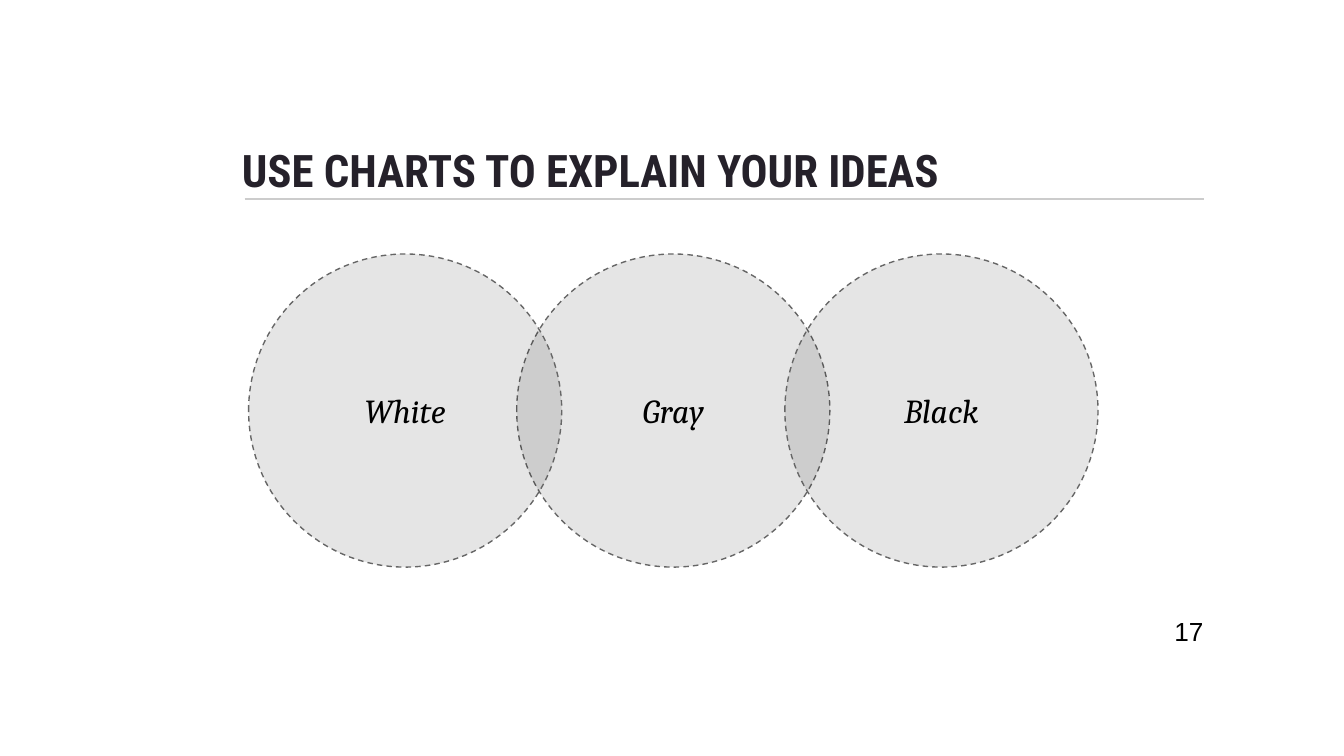
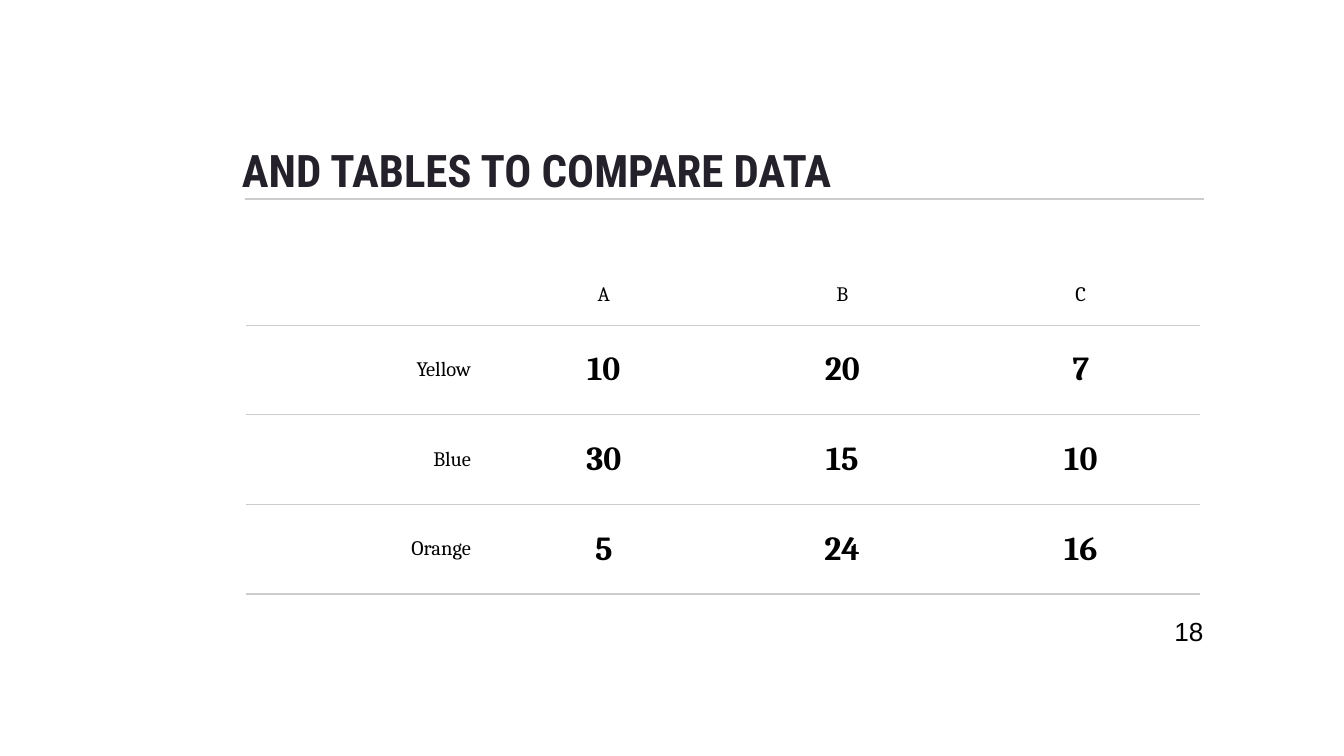
from lxml import etree
from pptx import Presentation
from pptx.dml.color import RGBColor
from pptx.enum.dml import MSO_LINE
from pptx.enum.shapes import MSO_CONNECTOR, MSO_SHAPE
from pptx.enum.text import MSO_ANCHOR as ANCHOR, MSO_AUTO_SIZE, PP_ALIGN as ALIGN
from pptx.oxml import parse_xml
from pptx.oxml.ns import nsdecls, qn
from pptx.util import Inches, Pt

# Shared style
BLACK = RGBColor(0x00, 0x00, 0x00)
INK = RGBColor(0x25, 0x21, 0x2A)
RULE = RGBColor(0xCC, 0xCC, 0xCC)
OUTLINE = RGBColor(0x66, 0x66, 0x66)
TITLE_FONT, BODY_FONT, NUMBER_FONT = "Roboto Condensed", "Cambria", "Arial"
LINE_WIDTH = Pt(0.75)
NO_TABLE_STYLE = "{2D5ABB26-0587-4C30-8999-92F81FD0307C}"


def write(tf, text, font=BODY_FONT, size=18, color=BLACK, bold=False,
          italic=False, align=ALIGN.LEFT):
    """Put one formatted run in the first paragraph of a text frame."""
    p = tf.paragraphs[0]
    p.alignment = align
    r = p.add_run()
    r.text = text
    r.font.name, r.font.size = font, Pt(size)
    r.font.bold, r.font.italic = bold, italic
    r.font.color.rgb = color


def set_frame(tf, anchor):
    tf.word_wrap = True
    tf.auto_size = MSO_AUTO_SIZE.NONE
    tf.vertical_anchor = anchor
    tf.margin_left = tf.margin_right = Inches(0.1)
    tf.margin_top = tf.margin_bottom = Inches(0.1)


def set_borders(cell, *sides):
    """Add grey rules; sides go in schema order, ahead of the fill."""
    tc_pr = cell._tc.get_or_add_tcPr()
    for i, side in enumerate(sides):
        tc_pr.insert(i, parse_xml(
            f'<a:{side} {nsdecls("a")} w="{LINE_WIDTH}"><a:solidFill>'
            f'<a:srgbClr val="{RULE}"/></a:solidFill></a:{side}>'))


class Deck:
    def __init__(self):
        self.prs = Presentation()
        # Widescreen, 16:9
        self.prs.slide_width = Inches(10)
        self.prs.slide_height = self.prs.slide_width * 9 // 16
        self.s = None

    def add_slide(self, title, number):
        self.s = self.prs.slides.add_slide(self.prs.slide_layouts[5])
        self.rule()
        self.title(title)
        self.page_number(number)

    def rule(self):
        y = Inches(1.48)
        line = self.s.shapes.add_connector(
            MSO_CONNECTOR.STRAIGHT, Inches(1.82), y, Inches(8.96), y)
        line.line.color.rgb, line.line.width = RULE, LINE_WIDTH
        etree.SubElement(line._element.spPr, qn("a:effectLst"))
        # Send behind the title
        self.s.shapes._spTree.insert(2, line._element)

    def title(self, text):
        sp = self.s.shapes.title
        sp.left, sp.top = Inches(1.7), Inches(0.79)
        sp.width, sp.height = Inches(7.24), Inches(0.77)
        set_frame(sp.text_frame, ANCHOR.BOTTOM)
        write(sp.text_frame, text, font=TITLE_FONT, size=24, color=INK, bold=True)

    def page_number(self, number):
        sp = self.s.shapes.add_textbox(
            Inches(8.64), Inches(4.48), Inches(0.6), Inches(0.43))
        set_frame(sp.text_frame, ANCHOR.MIDDLE)
        write(sp.text_frame, str(number), font=NUMBER_FONT, size=14)

    def circle(self, text, left, top, size):
        sp = self.s.shapes.add_shape(
            MSO_SHAPE.OVAL, Inches(left), Inches(top), Inches(size), Inches(size))
        sp.shadow.inherit = False
        sp.fill.solid()
        sp.fill.fore_color.rgb = BLACK
        color = sp._element.spPr.find(qn("a:solidFill"))[0]
        etree.SubElement(color, qn("a:alpha"), val="10000")
        sp.line.color.rgb, sp.line.width = OUTLINE, LINE_WIDTH
        sp.line.dash_style = MSO_LINE.DASH
        set_frame(sp.text_frame, ANCHOR.MIDDLE)
        write(sp.text_frame, text, italic=True, align=ALIGN.CENTER)

    def table(self, rows, left, top, width, height, header_height):
        n_rows, n_cols = len(rows), len(rows[0])
        frame = self.s.shapes.add_table(
            n_rows, n_cols, Inches(left), Inches(top), Inches(width), Inches(height))
        tbl = frame.table
        tbl.first_row = tbl.horz_banding = False
        tbl._tbl.tblPr.find(qn("a:tableStyleId")).text = NO_TABLE_STYLE
        for col in tbl.columns:
            col.width = Inches(width / n_cols)
        body_height = (height - header_height) / (n_rows - 1)
        for i, values in enumerate(rows):
            tbl.rows[i].height = Inches(body_height if i else header_height)
            for j, value in enumerate(values):
                self.cell(tbl.cell(i, j), value, header=i == 0, label=j == 0)

    def cell(self, cell, value, header, label):
        cell.margin_left = cell.margin_right = Inches(0.1)
        cell.margin_top = cell.margin_bottom = Inches(0.07)
        cell.vertical_anchor = ANCHOR.MIDDLE
        cell.fill.background()
        set_borders(cell, *(["lnB"] if header else ["lnT", "lnB"]))
        if value:
            data = not (header or label)
            write(cell.text_frame, value, size=18 if data else 11, bold=data,
                  align=ALIGN.RIGHT if label else ALIGN.CENTER)


def main():
    deck = Deck()

    # Overlapping circles, the middle one at the back
    deck.add_slide("USE CHARTS TO EXPLAIN YOUR IDEAS", 17)
    first, last = 1.85, 5.84
    for text, left in (("Gray", (first + last) / 2), ("White", first), ("Black", last)):
        deck.circle(text, left=left, top=1.89, size=2.33)

    # Comparison table
    deck.add_slide("AND TABLES TO COMPARE DATA", 18)
    rows = [
        ["", "A", "B", "C"],
        ["Yellow", "10", "20", "7"],
        ["Blue", "30", "15", "10"],
        ["Orange", "5", "24", "16"],
    ]
    deck.table(rows, left=1.83, top=1.97, width=7.1, height=2.45,
               header_height=0.45)

    deck.prs.save("out.pptx")


if __name__ == "__main__":
    main()
